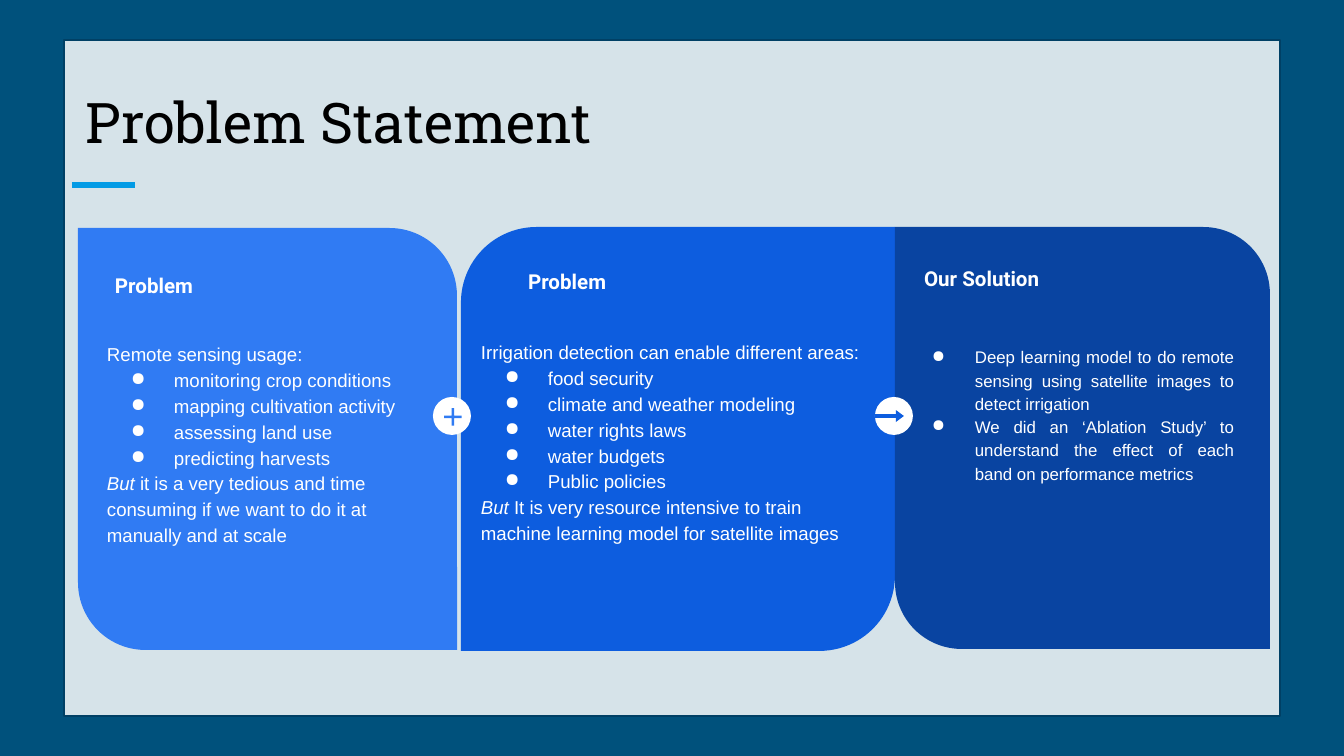
from lxml import etree
from pptx import Presentation
from pptx.dml.color import RGBColor
from pptx.enum.shapes import MSO_CONNECTOR, MSO_SHAPE
from pptx.enum.text import MSO_ANCHOR, PP_ALIGN
from pptx.oxml.ns import qn
from pptx.util import Emu, Pt

RECT, OVAL = MSO_SHAPE.RECTANGLE, MSO_SHAPE.OVAL
CARD = MSO_SHAPE.ROUND_2_DIAG_RECTANGLE
ARROW, PLUS = MSO_SHAPE.RIGHT_ARROW, MSO_SHAPE.MATH_PLUS
STRAIGHT = MSO_CONNECTOR.STRAIGHT
TOP, BOTTOM = MSO_ANCHOR.TOP, MSO_ANCHOR.BOTTOM
LEFT, JUSTIFY = PP_ALIGN.LEFT, PP_ALIGN.JUSTIFY

PX = 914400 / 134.4
WIDTH, HEIGHT = 1344, 756
INSET = 13
INDENT, HANGING = 67, 43

COLORS = {
    "backdrop": "00517C", "panel": "FFFFFF", "panel_edge": "004065",
    "accent": "039BE5", "title": "000000", "white": "FFFFFF",
    "light": "307BF3", "medium": "0D5DDF", "dark": "0944A1",
}
COLORS = {name: RGBColor.from_string(code) for name, code in COLORS.items()}

prs = Presentation()
prs.slide_width, prs.slide_height = Emu(round(WIDTH * PX)), Emu(round(HEIGHT * PX))
slide = prs.slides.add_slide(prs.slide_layouts[6])
slide.background.fill.solid()
slide.background.fill.fore_color.rgb = COLORS["backdrop"]


def add_block(kind, box, color, adjustments=()):
    block = slide.shapes.add_shape(kind, *[Emu(round(n * PX)) for n in box])
    block.shadow.inherit = False
    block.fill.solid()
    block.fill.fore_color.rgb = COLORS[color]
    block.line.fill.background()
    for i, value in enumerate(adjustments):
        block.adjustments[i] = value
    return block


def add_frame(box, anchor=TOP):
    frame = slide.shapes.add_textbox(*[Emu(round(n * PX)) for n in box]).text_frame
    frame.word_wrap = True
    frame.vertical_anchor = anchor
    frame.margin_left = frame.margin_right = Emu(round(INSET * PX))
    frame.margin_top = frame.margin_bottom = Emu(round(INSET * PX))
    return frame


# Translucent panel
panel = add_block(RECT, (64, 40, 1216, 676), "panel")
panel.line.color.rgb = COLORS["panel_edge"]
panel.line.width = Pt(0.75)
panel_color = panel.fill._xPr.find(qn("a:solidFill"))[0]
etree.SubElement(panel_color, qn("a:alpha"), val="84000")

# Accent rule and title
accent = slide.shapes.add_connector(
    STRAIGHT, *[Emu(round(n * PX)) for n in (72, 185, 135, 185)])
accent.line.color.rgb = COLORS["accent"]
accent.line.width = Pt(3)
etree.SubElement(accent._element.spPr, qn("a:effectLst"))

title = add_frame((73, 67, 1208, 101), BOTTOM)
title.text = "Problem Statement"
title_font = title.paragraphs[0].runs[0].font
title_font.name, title_font.size = "Roboto Slab", Pt(30)
title_font.color.rgb = COLORS["title"]

# Cards: box, color, rounded corners, heading, body, text size, alignment,
# then the intro, the bullets and the closing that follows "But"
cards = [
    ((461, 227, 434, 424), "medium", (0.178, 0),
     "Problem", (515, 257, 324, 62), (468, 325, 407, 207), 10, LEFT,
     "Irrigation detection can enable different areas:",
     ["food security", "climate and weather modeling", "water rights laws",
      "water budgets", "Public policies"],
     "It is very resource intensive to train machine learning model for satellite images"),
    ((78, 228, 379, 422), "light", (0, 0.178),
     "Problem", (102, 261, 305, 55), (94, 327, 335, 207), 10, LEFT,
     "Remote sensing usage:",
     ["monitoring crop conditions", "mapping cultivation activity",
      "assessing land use", "predicting harvests"],
     "it is a very tedious and time consuming if we want to do it at manually and at scale"),
    ((895, 227, 375, 422), "dark", (0, 0.178),
     "Our Solution", (911, 254, 301, 124), (895, 331, 352, 233), 9, JUSTIFY,
     None,
     ["Deep learning model to do remote sensing using satellite images to detect irrigation",
      "We did an ‘Ablation Study’ to understand the effect of each band on performance metrics"],
     None),
]

for (card_box, color, corners, heading, heading_box, body_box, size, align,
     intro, bullets, closing) in cards:
    add_block(CARD, card_box, color, corners)

    head = add_frame(heading_box)
    head.text = heading
    head_font = head.paragraphs[0].runs[0].font
    head_font.name, head_font.size, head_font.bold = "Roboto", Pt(11), True
    head_font.color.rgb = COLORS["white"]

    body = add_frame(body_box)
    lines = ([intro] if intro else []) + bullets + ([closing] if closing else [])
    for i, line in enumerate(lines):
        paragraph = body.paragraphs[0] if i == 0 else body.add_paragraph()
        paragraph.alignment = align
        paragraph.line_spacing = 1.15
        if line in bullets:
            props = paragraph._p.get_or_add_pPr()
            props.set("marL", str(round(INDENT * PX)))
            props.set("indent", str(round(-HANGING * PX)))
            bullet_color = etree.SubElement(props, qn("a:buClr"))
            etree.SubElement(bullet_color, qn("a:srgbClr"), val=str(COLORS["white"]))
            etree.SubElement(props, qn("a:buChar"), char="●")
        if line == closing:
            but = paragraph.add_run()
            but.text = "But "
            but.font.italic = True
        paragraph.add_run().text = line
        for run in paragraph.runs:
            run.font.name, run.font.size = "Arial", Pt(size)
            run.font.color.rgb = COLORS["white"]

# Badges between the cards
add_block(OVAL, (875, 397, 38, 38), "white")
add_block(ARROW, (875, 410, 29, 12), "medium", (0.32, 0.67))
add_block(OVAL, (433, 397, 38, 38), "white")
add_block(PLUS, (441, 405, 24, 24), "light", (0.1,))

prs.save("out.pptx")
